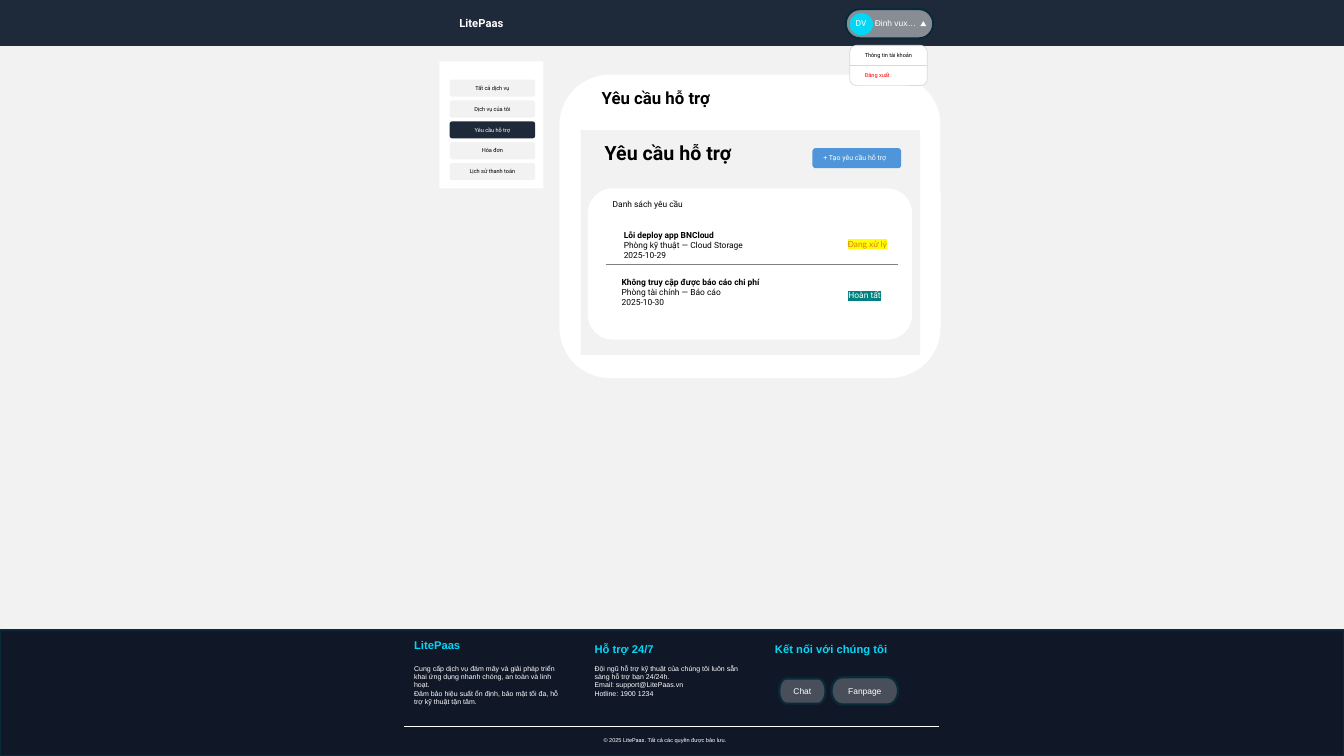
from lxml import etree
from pptx import Presentation
from pptx.dml.color import RGBColor
from pptx.enum.shapes import MSO_CONNECTOR as LINK, MSO_SHAPE as KIND
from pptx.enum.text import MSO_ANCHOR as ANCHOR, MSO_AUTO_SIZE as FIT, PP_ALIGN as ALIGN
from pptx.oxml.ns import qn
from pptx.util import Pt

NAVY = RGBColor(0x1E, 0x29, 0x39)
DARK = RGBColor(0x10, 0x18, 0x28)
TEAL = RGBColor(0x09, 0x2A, 0x39)
CYAN = RGBColor(0x04, 0xD7, 0xF6)
PALE = RGBColor(0xF2, 0xF2, 0xF2)
GREY = RGBColor(0xD9, 0xD9, 0xD9)
MID = RGBColor(0x80, 0x80, 0x80)
WHITE = RGBColor(0xFF, 0xFF, 0xFF)
BLACK = RGBColor(0, 0, 0)
RED = RGBColor(0xFF, 0, 0)
BLUE = RGBColor(0x4E, 0x95, 0xD9)
ORANGE = RGBColor(0xE9, 0x71, 0x32)
YELLOW = RGBColor(0xFF, 0xFF, 0)
GREEN = RGBColor(0, 0x80, 0x80)

deck = Presentation()
deck.slide_width, deck.slide_height = Pt(960), Pt(540)
slide = deck.slides.add_slide(deck.slide_layouts[5])
slide.background.fill.solid()
slide.background.fill.fore_color.rgb = PALE
shapes = slide.shapes


def form(kind, box, fill, edge=None, width=1.5, alpha=100):
    """Add a preset shape; alpha is the opacity of its fill in percent."""
    shape = shapes.add_shape(kind, *map(Pt, box))
    shape.shadow.inherit = False
    shape.fill.solid()
    shape.fill.fore_color.rgb = fill
    if alpha < 100:
        tint = shape.fill._xPr.find(".//" + qn("a:srgbClr"))
        etree.SubElement(tint, qn("a:alpha"), val=str(alpha * 1000))
    if edge is None:
        shape.line.fill.background()
    else:
        shape.line.color.rgb = edge
        shape.line.width = Pt(width)
    return shape


def put(host, *rows, anchor=ANCHOR.TOP, align=ALIGN.LEFT, **frame):
    """Write one paragraph per row; a row is a list of (text, size, colour, face, bold)."""
    text = host.text_frame
    values = dict(word_wrap=True, auto_size=FIT.NONE, vertical_anchor=anchor, margin_right=0)
    for key, value in (values | frame).items():
        setattr(text, key, value)
    for i, row in enumerate(rows):
        para = text.paragraphs[0] if i == 0 else text.add_paragraph()
        para.alignment = align
        for words, size, color, face, bold in row:
            run = para.add_run()
            run.text = words
            for key, value in dict(size=Pt(size), name=face, bold=bold).items():
                setattr(run.font, key, value)
            run.font.color.rgb = color
    return text


# Header, footer and account badge
form(KIND.RECTANGLE, (0, 0, 960, 32.4), NAVY, NAVY)
form(KIND.RECTANGLE, (0, 450, 960, 90), DARK, TEAL)
form(KIND.RECTANGLE, (287.3, 36.7, 382.3, 409), PALE)
form(KIND.FLOWCHART_TERMINATOR, (604.1, 6.5, 62.6, 20.9), PALE, TEAL, alpha=50)
form(KIND.FLOWCHART_CONNECTOR, (607, 9.4, 16.6, 15.8), CYAN)
form(KIND.ISOSCELES_TRIANGLE, (657.4, 15.1, 4.3, 3.6), WHITE)

# Footer columns: inset, gap below heading, heading, lines
columns = [
    (1.3, 9.2, "LitePaas", [
        "Cung cấp dịch vụ đám mây và giải pháp triển khai ứng dụng nhanh chóng, an toàn và linh hoạt.",
        "Đảm bảo hiệu suất ổn định, bảo mật tối đa, hỗ trợ kỹ thuật tận tâm."]),
    (4.8, 5.75, "Hỗ trợ 24/7", [
        "Đội ngũ hỗ trợ kỹ thuật của chúng tôi luôn sẵn sàng hỗ trợ bạn 24/24h.",
        "Email: support@LitePaas.vn",
        "Hotline: 1900 1234"]),
    (4.8, 0, "Kết nối với chúng tôi", []),
]
for i, (inset, gap, head, lines) in enumerate(columns):
    block = form(KIND.RECTANGLE, (288.7 + 128.9 * i, 454.3, 124.6, 59), DARK)
    text = put(block, [(head, 8, CYAN, "Arial", True)],
               *[[(line, 5, WHITE, "Arial", False)] for line in lines],
               margin_top=Pt(inset), margin_right=Pt(7.2))
    if lines:
        text.paragraphs[1].space_before = Pt(gap)

for name, box in [("Chat", (556.6, 484.6, 33.1, 18)), ("Fanpage", (594, 483.8, 47.5, 19.4))]:
    pill = form(KIND.FLOWCHART_TERMINATOR, box, PALE, TEAL, alpha=25)
    put(pill, [(name, 6, WHITE, "Arial", False)], anchor=ANCHOR.MIDDLE,
        align=ALIGN.CENTER, margin_left=0)

# Panels
form(KIND.ROUNDED_RECTANGLE, (399.6, 53.3, 272.2, 216.7), WHITE)
form(KIND.RECTANGLE, (313.9, 43.9, 74.2, 90.7), WHITE)
form(KIND.RECTANGLE, (414.7, 92.9, 242.6, 160.6), PALE)
form(KIND.ROUNDED_RECTANGLE, (419.8, 134.6, 231.8, 108), WHITE)

# Side menu
menu = ["Tất cả dịch vụ", "Dịch vụ của tôi", "Yêu cầu hỗ trợ", "Hóa đơn", "Lịch sử thanh toán"]
for i, name in enumerate(menu):
    fill, ink = (NAVY, WHITE) if i == 2 else (PALE, BLACK)
    item = form(KIND.ROUNDED_RECTANGLE, (321.1, 56.9 + 14.9 * i, 61.2, 12.2), fill)
    put(item, [(name, 4, ink, "Roboto", False)], anchor=ANCHOR.MIDDLE,
        align=ALIGN.CENTER, margin_left=0)

# Page title, brought in front of the panels
title = shapes.title
for key, value in dict(left=422.6, top=59, width=139.7, height=36).items():
    setattr(title, key, Pt(value))
put(title, [("Yêu cầu hỗ trợ", 12, BLACK, "Roboto", True)])
title.element.getparent().append(title.element)

# Account menu
drop = form(KIND.ROUNDED_RECTANGLE, (607, 32.4, 55.4, 28.8), WHITE, GREY, 0.5)

# Rules
rules = [(288.7, 671, 518.4, WHITE), (432.7, 641.5, 188.6, MID), (607, 662.4, 46.8, GREY)]
for start, end, y, color in rules:
    rule = shapes.add_connector(LINK.STRAIGHT, Pt(start), Pt(y), Pt(end), Pt(y))
    rule.line.color.rgb = color
    rule.line.width = Pt(0.25)
    etree.SubElement(rule.element.spPr, qn("a:effectLst"))
rule.begin_connect(drop, 1)
rule.end_connect(drop, 3)

# Labels
labels = [
    ("LitePaas", (321.1, 7.9, 50.4, 17.3), 8, WHITE, "Roboto", True),
    ("DV", (604.1, 9.4, 22.3, 14.4), 6, WHITE, "Roboto", False),
    ("Đinh vux…", (617.8, 9.4, 44.6, 14.4), 6, WHITE, "Arial", False),
    ("Thông tin tài khoản", (610.6, 33.8, 49.7, 12.2), 4, BLACK, "Roboto", False),
    ("Đăng xuất", (610.6, 48.2, 49.7, 12.2), 4, RED, "Roboto", False),
    ("Yêu cầu hỗ trợ", (424.8, 97.2, 186.5, 24.5), 14, BLACK, "Roboto", True),
    ("Danh sách yêu cầu", (430.6, 139, 82.1, 14.4), 6, BLACK, "Roboto", False),
]
for name, box, *style in labels:
    put(shapes.add_textbox(*map(Pt, box)), [(name, *style)])

note = shapes.add_textbox(*map(Pt, (424.1, 522.7, 111.6, 12.2)))
put(note, [("© 2025 ", 4, WHITE, "Arial", False), ("LitePaas", 4, WHITE, "Roboto", False),
           (". Tất cả các quyền được bảo lưu.", 4, WHITE, "Arial", False)])

# Requests: place, lines, then status place, text, ink, face and highlight
tasks = [
    ((438.5, 160.6, 151.2, 36),
     ["Lỗi deploy app BNCloud", "Phòng kỹ thuật\u00a0—\u00a0Cloud Storage", "2025-10-29"],
     (598.3, 167), "Đang xử lý", ORANGE, "Lato", YELLOW),
    ((437, 194.4, 151.2, 28.8),
     ["Không truy cập được báo cáo chi phí", "Phòng tài chính\u00a0—\u00a0Báo cáo", "2025-10-30"],
     (599, 203.8), "Hoàn tất", WHITE, "Roboto", GREEN),
]
for box, lines, spot, state, ink, face, mark in tasks:
    put(shapes.add_textbox(*map(Pt, box)),
        *[[(line, 6, BLACK, "Roboto", i == 0)] for i, line in enumerate(lines)])
    tag = shapes.add_textbox(*map(Pt, (*spot, 48.2, 14.4)))
    text = put(tag, [(state, 6, ink, face, False)])
    light = etree.Element(qn("a:highlight"))
    etree.SubElement(light, qn("a:srgbClr"), val=str(mark))
    text.paragraphs[0].runs[0].font.fill._xPr.find(qn("a:solidFill")).addnext(light)

button = form(KIND.FLOWCHART_ALTERNATE_PROCESS, (580.3, 105.8, 63.4, 14.4), BLUE)
put(button, [("+ Tạo yêu cầu hỗ trợ", 5, WHITE, "Roboto", False)], anchor=ANCHOR.MIDDLE)

deck.save("out.pptx")
